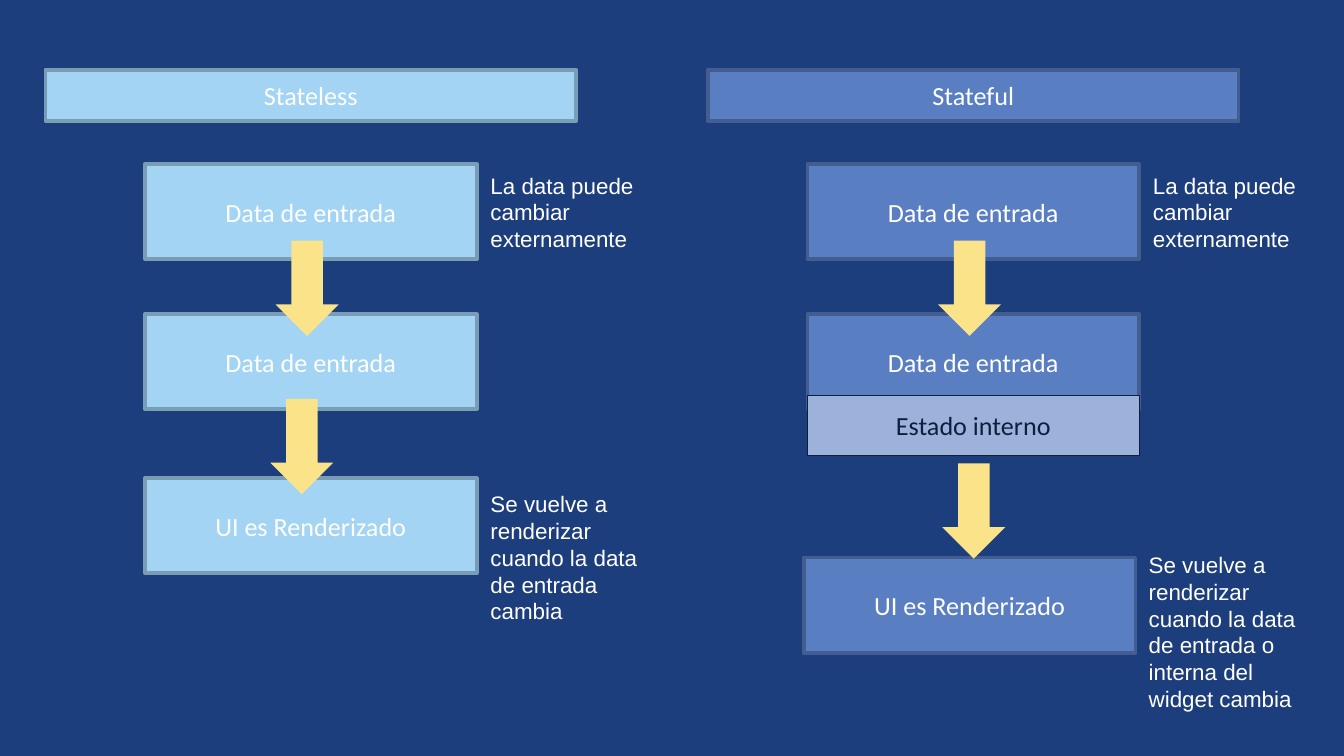
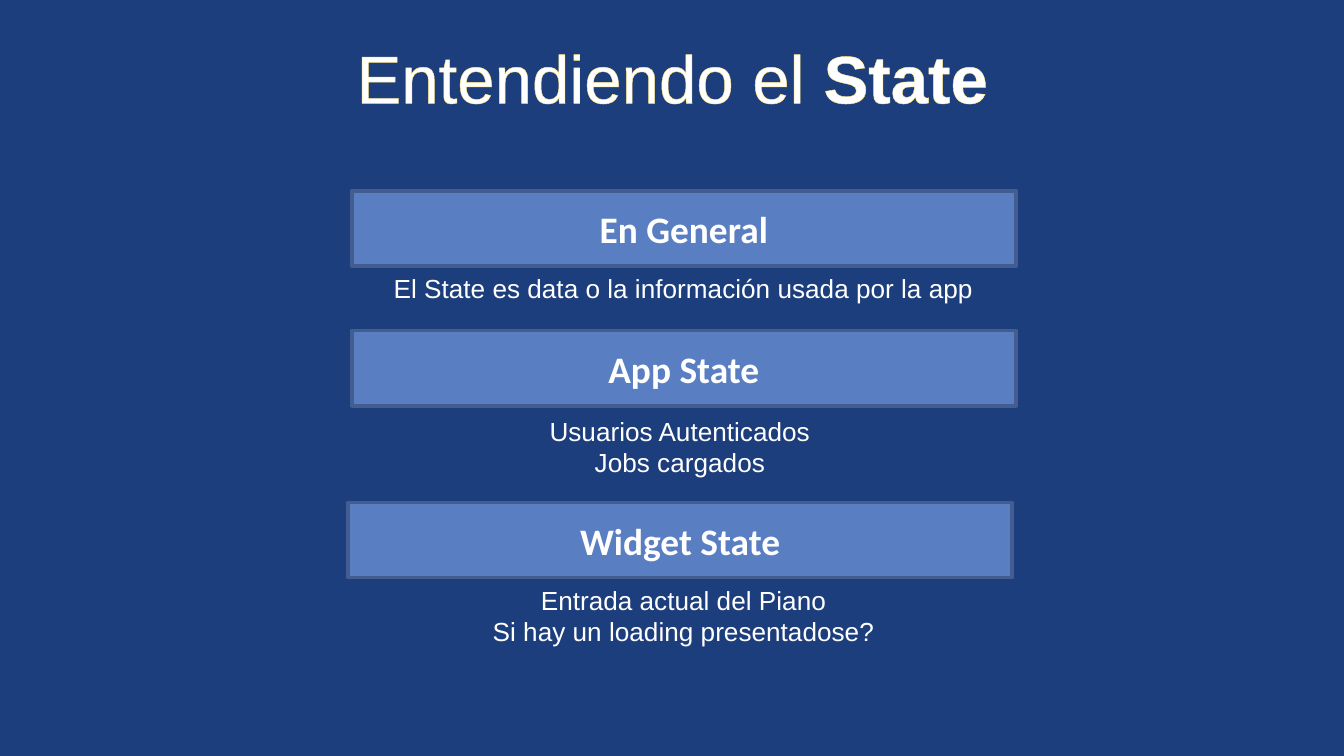
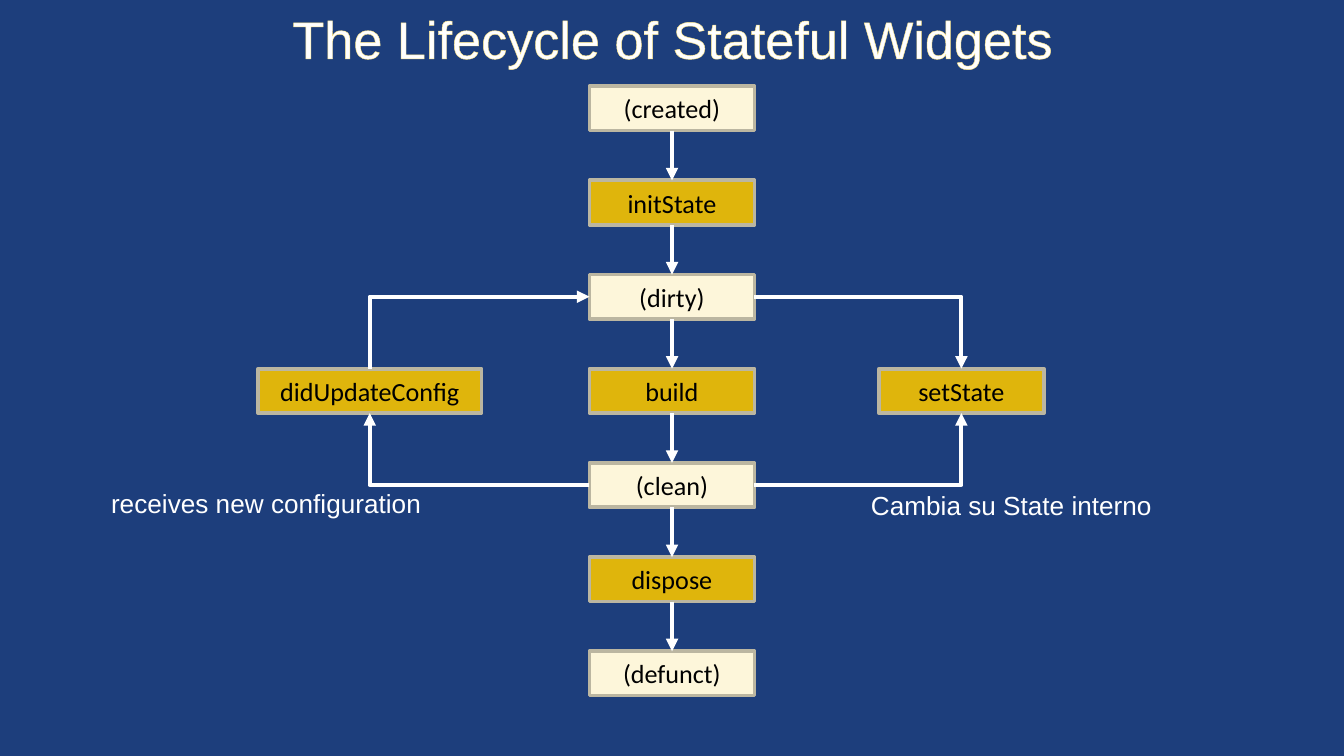
from dataclasses import dataclass

from lxml import etree
from pptx import Presentation
from pptx import util as u
from pptx.dml import color
from pptx.enum import shapes, text
from pptx.oxml import ns

Cm, Pt = u.Cm, u.Pt


@dataclass(frozen=True)
class Theme:
    back: str = "1D3E7C"
    white: str = "FFFFFF"
    black: str = "000000"
    navy: str = "0E1F3E"
    glow: str = "FAE388"
    sky: tuple = ("A3D4F3", "799DB4")
    blue: tuple = ("5A7EC2", "435D90")
    pale: tuple = ("9CB2DA", "0E1F3E")
    cream: tuple = ("FDF6DA", "BBB6A1")
    gold: tuple = ("DFB50C", "BBB6A1")
    head: str = "Arial"
    body: str = "Calibri"
    note: int = 12
    base: int = 14
    bar: int = 20
    edge: float = 2
    wire: float = 2.25


T = Theme()

# Content: widget columns; x is measured from the left edge of the column
INPUT = "Data de entrada"
DRAWN = "UI es Renderizado"
OUTER = "La data puede cambiar externamente"
COLS = [
    dict(left=0.86, name="Stateless", look=T.sky,
         boxes=[(1.88, 3.1, INPUT), (1.88, 5.94, INPUT), (1.88, 9.04, DRAWN)],
         downs=[(4.35, 4.55), (4.25, 7.54)],
         notes=[(8.16, 3.12, 1.8, OUTER),
                (8.16, 9.14, 2.82,
                 "Se vuelve a renderizar cuando la data de entrada cambia")],
         inner=None),
    dict(left=13.38, name="Stateful", look=T.blue,
         boxes=[(1.88, 3.1, INPUT), (1.88, 5.94, INPUT), (1.81, 10.54, DRAWN)],
         downs=[(4.35, 4.55), (4.43, 8.76)],
         notes=[(8.16, 3.12, 1.8, OUTER),
                (8.08, 10.29, 3.33,
                 "Se vuelve a renderizar cuando la data de entrada o interna "
                 "del widget cambia")],
         inner=(1.88, 7.47, "Estado interno")),
]

# Content: kinds of state (bar left, top, name, text middle, text top, lines)
KINDS = [
    (6.65, 3.61, "En General", 12.92, 5.03,
     ["El State es data o la información usada por la app"]),
    (6.65, 6.25, "App State", 12.85, 7.72,
     ["Usuarios Autenticados", "Jobs cargados"]),
    (6.58, 9.5, "Widget State", 12.92, 10.92,
     ["Entrada actual del Piano", "Si hay un loading presentadose?"]),
]

# Content: life cycle, top to bottom, then the side steps and bent links
STEPS = ["(created)", "initState", "(dirty)", "build", "(clean)", "dispose",
         "(defunct)"]
SIDES = [("didUpdateConfig", 4.88, 4.22), ("setState", 16.61, 3.12)]
LINKS = [("(clean)", 1, "didUpdateConfig", 2),
         ("didUpdateConfig", 0, "(dirty)", 1),
         ("(clean)", 3, "setState", 2),
         ("(dirty)", 3, "setState", 0)]
LABELS = [(1.85, 9.09, 6.4, "receives new configuration"),
          (16.21, 9.12, 5.84, "Cambia su State interno")]


def rgb(code):
    return color.RGBColor.from_string(code)


def write(shape, lines, size, ink, font, mid=True, bold=False):
    frame = shape.text_frame
    frame.text = "\n".join(lines)
    for para in frame.paragraphs:
        para.alignment = text.PP_ALIGN.CENTER if mid else text.PP_ALIGN.LEFT
        for run in para.runs:
            run.font.size, run.font.name = Pt(size), font
            run.font.bold = bold
            run.font.color.rgb = rgb(ink)


def block(slide, at, look, kind=shapes.MSO_SHAPE.RECTANGLE, edge=T.edge):
    shape = slide.shapes.add_shape(kind, *map(Cm, at))
    shape.shadow.inherit = False
    fill, line = look
    shape.fill.solid()
    shape.fill.fore_color.rgb = rgb(fill)
    if line:
        shape.line.color.rgb = rgb(line)
        shape.line.width = Pt(edge)
    else:
        shape.line.fill.background()
    return shape


def box(slide, at, look, words, ink=T.white, size=T.base, bold=False,
        edge=T.edge):
    shape = block(slide, at, look, edge=edge)
    shape.text_frame.vertical_anchor = text.MSO_ANCHOR.MIDDLE
    write(shape, [words], size, ink, T.body, bold=bold)
    return shape


def label(slide, at, lines, size=T.base, mid=False, wrap=False):
    shape = slide.shapes.add_textbox(*map(Cm, at))
    shape.text_frame.word_wrap = wrap
    write(shape, lines, size, T.white, T.head, mid)
    return shape


def title(slide, at, parts, size):
    """Large heading with a thin outline; parts are (words, bold) pairs."""
    shape = label(slide, at, [""], size, True)
    para = shape.text_frame.paragraphs[0]
    for words, bold in parts:
        run = para.add_run()
        run.text = words
        run.font.size, run.font.name, run.font.bold = Pt(size), T.head, bold
        run.font.color.rgb = rgb(T.white)
        line = etree.Element(ns.qn("a:ln"), w=str(Pt(0.8)))
        fill = etree.SubElement(line, ns.qn("a:solidFill"))
        etree.SubElement(fill, ns.qn("a:srgbClr"), val=T.glow)
        run.font._element.insert(0, line)


def wire(slide, kind, start, end):
    link = slide.shapes.add_connector(kind, *start, *end)
    link.line.color.rgb = rgb(T.white)
    link.line.width = Pt(T.wire)
    etree.SubElement(link.line._get_or_add_ln(), ns.qn("a:tailEnd"),
                     type="triangle")
    etree.SubElement(link._element.spPr, ns.qn("a:effectLst"))
    return link


def port(shape, side):
    """Middle of a side: 0 top, 1 left, 2 bottom, 3 right."""
    fx, fy = [(0.5, 0), (0, 0.5), (0.5, 1), (1, 0.5)][side]
    return (int(shape.left + fx * shape.width),
            int(shape.top + fy * shape.height))


def bend(slide, start, end, upright):
    """One-corner link; an upright one leaves vertically by a quarter turn."""
    if upright:
        cx, cy = (start[0] + end[0]) // 2, (start[1] + end[1]) // 2
        start, end = [(cx + y - cy, cy - x + cx) for x, y in (start, end)]
    link = wire(slide, shapes.MSO_CONNECTOR.ELBOW, start, end)
    props = link._element.spPr
    props.find(ns.qn("a:prstGeom")).set("prst", "bentConnector2")
    if upright:
        props.find(ns.qn("a:xfrm")).set("rot", str(90 * 60000))


def compare(slide):
    wide, high = 6.27, 1.8
    for col in COLS:
        left, look = col["left"], col["look"]
        box(slide, (left, 1.32, 10.03, 0.97), look, col["name"])
        for x, y, words in col["boxes"]:
            box(slide, (left + x, y, wide, high), look, words)
        for x, y in col["downs"]:
            block(slide, (left + x, y, 1.19, high), (T.glow, None),
                  shapes.MSO_SHAPE.DOWN_ARROW)
        for x, y, tall, words in col["notes"]:
            label(slide, (left + x, y, 3.68, tall), [words], T.note, wrap=True)
        if col["inner"]:
            x, y, words = col["inner"]
            box(slide, (left + x, y, wide, 1.14), T.pale, words, T.navy,
                edge=0.25)


def explain(slide):
    title(slide, (6.43, 0.56, 12.55, 1.8),
          [("Entendiendo el ", False), ("State", True)], 36)
    wide = 11.5
    for left, top, name, mid, low, lines in KINDS:
        box(slide, (left, top, 12.55, 1.42), T.blue, name, size=T.bar,
            bold=True)
        label(slide, (mid - wide / 2, low, wide, 0.3 + 0.56 * len(lines)),
              lines, mid=True)


def cycle(slide):
    title(slide, (5.18, 0, 15.06, 1.45),
          [("The Lifecycle of Stateful Widgets", False)], 28)
    top, pitch, wide, high = 1.63, 1.78, 3.12, 0.84
    nodes = {}
    # Main chain, alternating states and calls
    for i, name in enumerate(STEPS):
        nodes[name] = box(slide, (11.14, top + i * pitch, wide, high),
                          T.gold if i % 2 else T.cream, name, T.black)
    for name, left, span in SIDES:
        row = top + STEPS.index("build") * pitch
        nodes[name] = box(slide, (left, row, span, high), T.gold, name,
                          T.black)
    # Links
    for one, two in zip(STEPS, STEPS[1:]):
        a, b = nodes[one], nodes[two]
        link = wire(slide, shapes.MSO_CONNECTOR.STRAIGHT, port(a, 2),
                    port(b, 0))
        link.begin_connect(a, 2)
        link.end_connect(b, 0)
    for one, out, two, into in LINKS:
        bend(slide, port(nodes[one], out), port(nodes[two], into),
             out in (0, 2))
    for x, y, span, words in LABELS:
        label(slide, (x, y, span, 0.86), [words])


def main():
    deck = Presentation()
    deck.slide_width, deck.slide_height = Cm(25.4), Cm(14.29)
    for draw in (compare, explain, cycle):
        slide = deck.slides.add_slide(deck.slide_layouts[6])
        slide.background.fill.solid()
        slide.background.fill.fore_color.rgb = rgb(T.back)
        draw(slide)
    deck.save("out.pptx")


if __name__ == "__main__":
    main()
